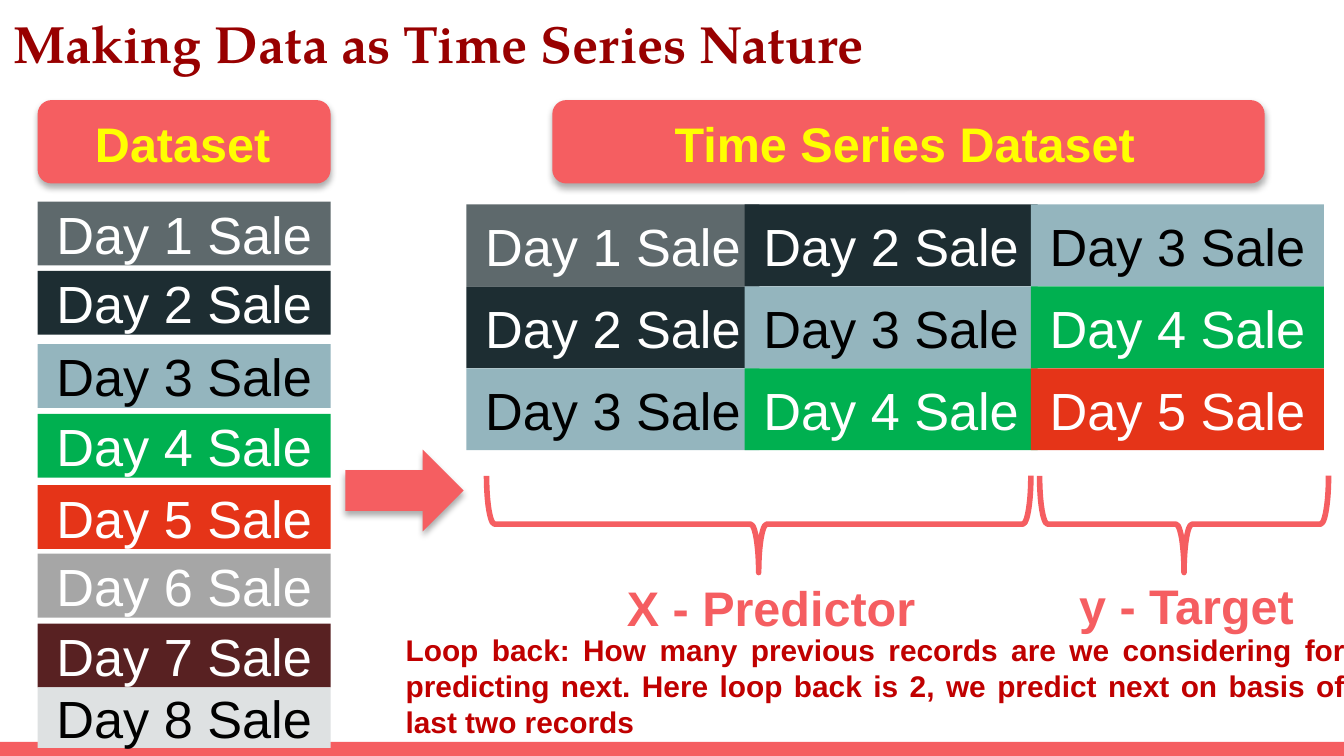
from dataclasses import dataclass

from lxml import etree
from pptx import Presentation
from pptx.dml.color import RGBColor
from pptx.enum.shapes import MSO_SHAPE
from pptx.enum.text import MSO_ANCHOR, PP_ALIGN
from pptx.oxml.ns import qn
from pptx.util import Emu, Pt

PX = 4572
RECT, ROUNDED = MSO_SHAPE.RECTANGLE, MSO_SHAPE.ROUNDED_RECTANGLE
ARROW, BRACE = MSO_SHAPE.RIGHT_ARROW, MSO_SHAPE.LEFT_BRACE
LEFT, CENTER, JUSTIFY = PP_ALIGN.LEFT, PP_ALIGN.CENTER, PP_ALIGN.JUSTIFY
MIDDLE, BOTTOM = MSO_ANCHOR.MIDDLE, MSO_ANCHOR.BOTTOM


@dataclass(frozen=True)
class Theme:
    """Colours, fonts and type sizes of the slide."""
    accent: str = "F55E61"
    title: str = "980000"
    banner: str = "FFFF00"
    note: str = "C00000"
    light: str = "FFFFFF"
    dark: str = "000000"
    days: tuple = ("5E696C", "1D2D32", "94B5BE", "00B050",
                   "E53418", "A6A6A6", "582122", "DEE1E2")
    dark_text_days: tuple = (3, 8)
    title_font: str = "TeX Gyre Pagella"
    body_font: str = "Arial"
    large: int = 28
    medium: int = 26
    small: int = 16


THEME = Theme()


def px(*lengths):
    """Turn pixel lengths into EMU."""
    return [Emu(length * PX) for length in lengths]


def write(box, text, size, color, align=CENTER, anchor=BOTTOM, bold=True,
          font=THEME.body_font):
    """Put one styled run of text into a box."""
    frame = box.text_frame
    frame.word_wrap = True
    frame.vertical_anchor = anchor
    para = frame.paragraphs[0]
    para.alignment = align
    span = para.add_run()
    span.text = text
    span.font.name = font
    span.font.size = Pt(size)
    span.font.bold = bold
    span.font.color.rgb = RGBColor.from_string(color)


def add_label(shapes, place, text, size, color, **style):
    """Add a text box."""
    box = shapes.add_textbox(*px(*place))
    write(box, text, size, color, **style)


def add_block(shapes, kind, place, fill):
    """Add a filled preset shape without outline or shadow."""
    block = shapes.add_shape(kind, *px(*place))
    block.shadow.inherit = False
    block.fill.solid()
    block.fill.fore_color.rgb = RGBColor.from_string(fill)
    block.line.fill.background()
    return block


def cast_shadow(block):
    """Give a block a soft shadow below it."""
    effects = block._element.spPr.find(qn("a:effectLst"))
    shadow = etree.SubElement(effects, qn("a:outerShdw"), blurRad="44450",
                              dist="27940", dir="5400000", rotWithShape="0")
    color = etree.SubElement(shadow, qn("a:srgbClr"), val=THEME.dark)
    etree.SubElement(color, qn("a:alpha"), val="32000")


def add_day(shapes, day, place):
    """Add the coloured cell of one day's sale."""
    cell = add_block(shapes, RECT, place, THEME.days[day - 1])
    color = THEME.dark if day in THEME.dark_text_days else THEME.light
    write(cell, f"Day {day} Sale", THEME.large, color, anchor=MIDDLE, bold=False)


def add_banner(shapes, card_place, label_place, text):
    """Add a grouped heading card with its label."""
    group = shapes.add_group_shape()
    cast_shadow(add_block(group.shapes, ROUNDED, card_place, THEME.accent))
    add_label(group.shapes, label_place, text, THEME.medium, THEME.banner)


def add_brace(shapes, place):
    """Add a brace that points down."""
    brace = add_block(shapes, BRACE, place, THEME.light)
    brace.rotation = 270
    brace.line.color.rgb = RGBColor.from_string(THEME.accent)
    brace.line.width = Pt(3)


def add_dataset(shapes):
    """Add the column of daily sales under its banner."""
    tops = (300, 403, 512, 616, 722, 824, 928, 1023)
    for day, top in enumerate(tops, start=1):
        add_day(shapes, day, (56, top, 436, 90 if day == len(tops) else 95))
    add_banner(shapes, (56, 149, 436, 124), (118, 132, 308, 134), "Dataset")


def add_time_series(shapes):
    """Add the sliding windows of three days under their banner."""
    for row in range(3):
        for column, left in enumerate((694, 1108, 1534)):
            add_day(shapes, row + column + 1, (left, 304 + 122 * row, 436, 122))
    add_banner(shapes, (822, 149, 1060, 124), (972, 132, 750, 134),
               "Time Series Dataset")


def main():
    """Build the slide and save the deck."""
    deck = Presentation()
    deck.slide_width, deck.slide_height = px(2000, 1125)
    shapes = deck.slides.add_slide(deck.slide_layouts[6]).shapes

    add_block(shapes, RECT, (0, 1104, 2000, 21), THEME.accent)
    add_label(shapes, (0, -5, 1864, 136), "Making Data as Time Series Nature",
              THEME.large, THEME.title, align=LEFT, anchor=MIDDLE,
              font=THEME.title_font)
    add_dataset(shapes)
    cast_shadow(add_block(shapes, ARROW, (514, 669, 176, 122), THEME.accent))
    add_time_series(shapes)

    add_brace(shapes, (1057, 375, 144, 810))
    add_label(shapes, (892, 823, 512, 134), "X - Predictor",
              THEME.medium, THEME.accent)
    add_brace(shapes, (1690, 565, 144, 430))
    add_label(shapes, (1510, 819, 512, 134), "y - Target",
              THEME.medium, THEME.accent)
    add_label(shapes, (584, 886, 1438, 224),
              "Loop back: How many previous records are we considering for "
              "predicting next. Here loop back is 2, we predict next on basis "
              "of last two records",
              THEME.small, THEME.note, align=JUSTIFY)
    deck.save("out.pptx")


if __name__ == "__main__":
    main()
